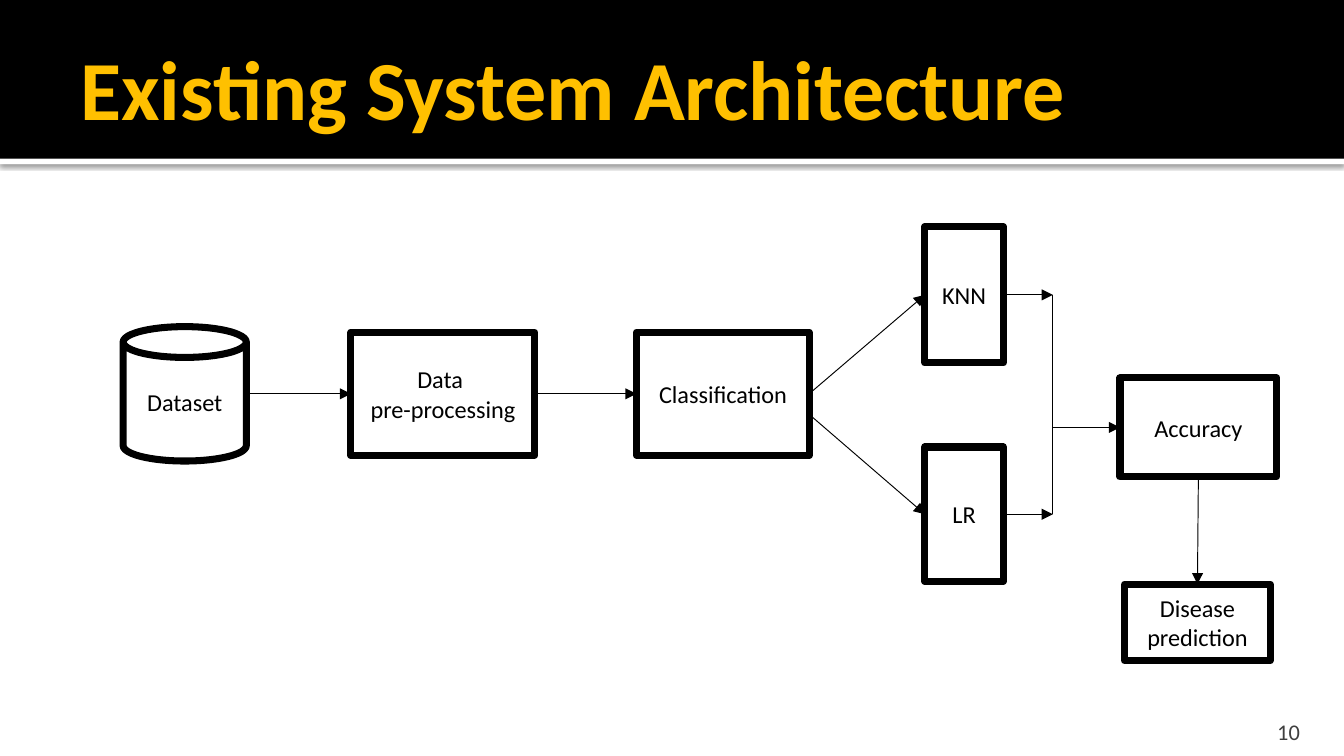
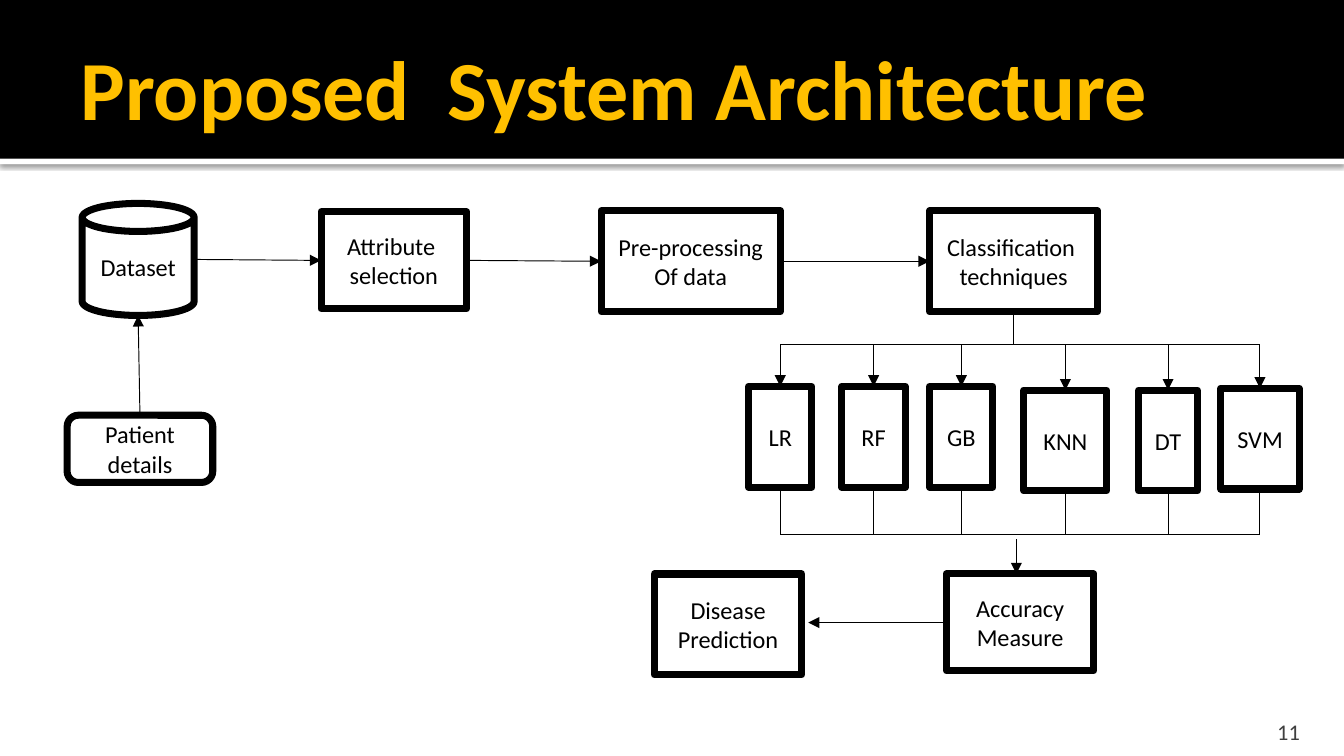
from lxml.etree import SubElement
from pptx import Presentation
from pptx.dml.color import RGBColor
from pptx.enum.shapes import MSO_CONNECTOR, MSO_SHAPE
from pptx.enum.text import MSO_ANCHOR, PP_ALIGN
from pptx.oxml.ns import qn
from pptx.util import Pt

COLORS = {"ink": "000000", "paper": "FFFFFF", "title": "FFC000", "number": "3F3F3F"}
FONT = "Calibri"
WIDTH, HEIGHT = 720, 405
TOP, LEFT, BOTTOM, RIGHT = range(4)


def rgb(name):
    return RGBColor.from_string(COLORS[name])


def write_text(frame, text, size=13, color="ink", bold=False, align=PP_ALIGN.CENTER,
               anchor=MSO_ANCHOR.MIDDLE, insets=(7.2, 3.6, 7.2, 3.6)):
    """Fill a text frame, one paragraph for each line of text."""
    frame.word_wrap = True
    frame.vertical_anchor = anchor
    (frame.margin_left, frame.margin_top,
     frame.margin_right, frame.margin_bottom) = map(Pt, insets)
    for index, line in enumerate(text.split("\n")):
        paragraph = frame.add_paragraph() if index else frame.paragraphs[0]
        paragraph.alignment = align
        run = paragraph.add_run()
        run.text = line
        run.font.name = FONT
        run.font.size = Pt(size)
        run.font.bold = bold
        run.font.color.rgb = rgb(color)


class Deck:
    def __init__(self):
        self.presentation = Presentation()
        self.presentation.slide_width = Pt(WIDTH)
        self.presentation.slide_height = Pt(HEIGHT)
        self.slide = None

    def start_slide(self, title, number):
        self.slide = self.presentation.slides.add_slide(self.presentation.slide_layouts[6])
        self.add_soft_shadow(self.add_band(85, 3, "paper"))
        self.add_band(0, 85, "ink")
        self.add_text(title, (36, 9.5, 648, 74), size=45, color="title", bold=True,
                      align=PP_ALIGN.LEFT, insets=(7.2, 3.6, 3.6, 3.6))
        self.add_text(str(number), (646, 382, 57.5, 17), size=12, color="number",
                      align=PP_ALIGN.RIGHT, anchor=MSO_ANCHOR.BOTTOM,
                      insets=(7.2, 3.6, 7.2, 0))

    def add_text(self, text, place, **style):
        box = self.slide.shapes.add_textbox(*map(Pt, place))
        write_text(box.text_frame, text, **style)

    def add_filled(self, place, fill, kind=MSO_SHAPE.RECTANGLE):
        shape = self.slide.shapes.add_shape(kind, *map(Pt, place))
        shape.shadow.inherit = False
        shape.fill.solid()
        shape.fill.fore_color.rgb = rgb(fill)
        return shape

    def add_band(self, top, height, fill):
        band = self.add_filled((0, top, WIDTH, height), fill)
        band.line.fill.background()
        return band

    def add_soft_shadow(self, band):
        effects = band._element.spPr.find(qn("a:effectLst"))
        shadow = SubElement(effects, qn("a:outerShdw"), blurRad=str(Pt(2.5)),
                            dist=str(Pt(0.8)), dir="5400000", rotWithShape="0")
        tint = SubElement(shadow, qn("a:srgbClr"), val=COLORS["ink"])
        SubElement(tint, qn("a:alpha"), val="60000")

    def add_node(self, text, *place, kind=MSO_SHAPE.RECTANGLE):
        node = self.add_filled(place, "paper", kind)
        node.line.color.rgb = rgb("ink")
        node.line.width = Pt(3.78)
        write_text(node.text_frame, text)
        return node

    def link(self, begin, end, arrow=True):
        """Draw a line; each end is an (x, y) point or a (node, side) pair."""
        begin_joined, end_joined = (hasattr(e[0], "shape_id") for e in (begin, end))
        start = (0, 0) if begin_joined else begin
        stop = (0, 0) if end_joined else end
        line = self.slide.shapes.add_connector(MSO_CONNECTOR.STRAIGHT,
                                               *map(Pt, (*start, *stop)))
        if begin_joined:
            line.begin_connect(*begin)
        if end_joined:
            line.end_connect(*end)
        line.line.color.rgb = rgb("ink")
        line.line.width = Pt(0.5)
        properties = line._element.spPr
        if arrow:
            SubElement(properties.find(qn("a:ln")), qn("a:tailEnd"), type="triangle")
        SubElement(properties, qn("a:effectLst"))


def build_existing_system(deck):
    deck.start_slide("Existing System Architecture", 10)
    deck.add_node("Dataset", 66, 175, 66, 72, kind=MSO_SHAPE.CAN)
    preprocessing = deck.add_node("Data \npre-processing", 188, 178, 98.5, 66)
    classification = deck.add_node("Classification", 341, 178, 92.5, 66)
    knn = deck.add_node("KNN", 495.5, 121.5, 42, 73)
    lr = deck.add_node("LR", 495.5, 239.5, 42, 72)
    accuracy = deck.add_node("Accuracy", 600, 202.5, 84, 53)
    prediction = deck.add_node("Disease\nprediction", 602.5, 313, 78, 41)

    deck.link((132, 211), (preprocessing, LEFT))
    deck.link((preprocessing, RIGHT), (classification, LEFT))
    deck.link((classification, RIGHT), (knn, LEFT))
    deck.link((433.5, 222), (lr, LEFT))

    merge_x, knn_y, lr_y = 564, 158, 275.5
    deck.link((knn, RIGHT), (merge_x, knn_y))
    deck.link((lr, RIGHT), (merge_x, lr_y))
    deck.link((merge_x, knn_y), (merge_x, lr_y), arrow=False)
    deck.link((merge_x, 229), (accuracy, LEFT))
    deck.link((accuracy, BOTTOM), (prediction, TOP))


def build_proposed_system(deck):
    deck.start_slide("Proposed  System Architecture", 11)
    deck.add_node("Dataset", 44, 109, 60, 60, kind=MSO_SHAPE.CAN)
    patient = deck.add_node("Patient\ndetails", 36, 222.5, 78, 36,
                            kind=MSO_SHAPE.ROUNDED_RECTANGLE)
    selection = deck.add_node("Attribute \nselection", 172, 113.5, 78, 52)
    preprocessing = deck.add_node("Pre-processing\nOf data", 322, 113, 96, 54)
    techniques = deck.add_node("Classification \ntechniques", 498, 113, 90, 54)
    prediction_right = 429.5
    deck.add_node("Disease\nPrediction", 350.5, 307.5, prediction_right - 350.5, 54)
    accuracy = deck.add_node("Accuracy\nMeasure", 507, 307.5, 79, 52)

    deck.link((patient, TOP), (74, 169))
    deck.link((104, 139), (selection, LEFT))
    deck.link((selection, RIGHT), (preprocessing, LEFT))
    deck.link((preprocessing, RIGHT), (techniques, LEFT))

    split_y, merge_y = 184.5, 286.5
    models = [("LR", 401, 207, 34), ("RF", 451, 207, 34), ("GB", 498, 207, 34),
              ("KNN", 548.5, 209, 44.5), ("DT", 610, 209, 31.5), ("SVM", 654, 208, 42)]
    centers = [left + width / 2 for _, left, _, width in models]
    deck.link((techniques, BOTTOM), (543, split_y), arrow=False)
    for bus_y in (split_y, merge_y):
        deck.link((centers[0], bus_y), (centers[-1], bus_y), arrow=False)
    for (name, left, top, width), center in zip(models, centers):
        model = deck.add_node(name, left, top, width, 54)
        deck.link((center, split_y), (model, TOP))
        deck.link((model, BOTTOM), (center, merge_y), arrow=False)

    deck.link((544.5, 289), (544.5, 307.5))
    deck.link((accuracy, LEFT), (prediction_right + 3.5, 333.5))


def main():
    deck = Deck()
    build_existing_system(deck)
    build_proposed_system(deck)
    deck.presentation.save("out.pptx")


if __name__ == "__main__":
    main()
